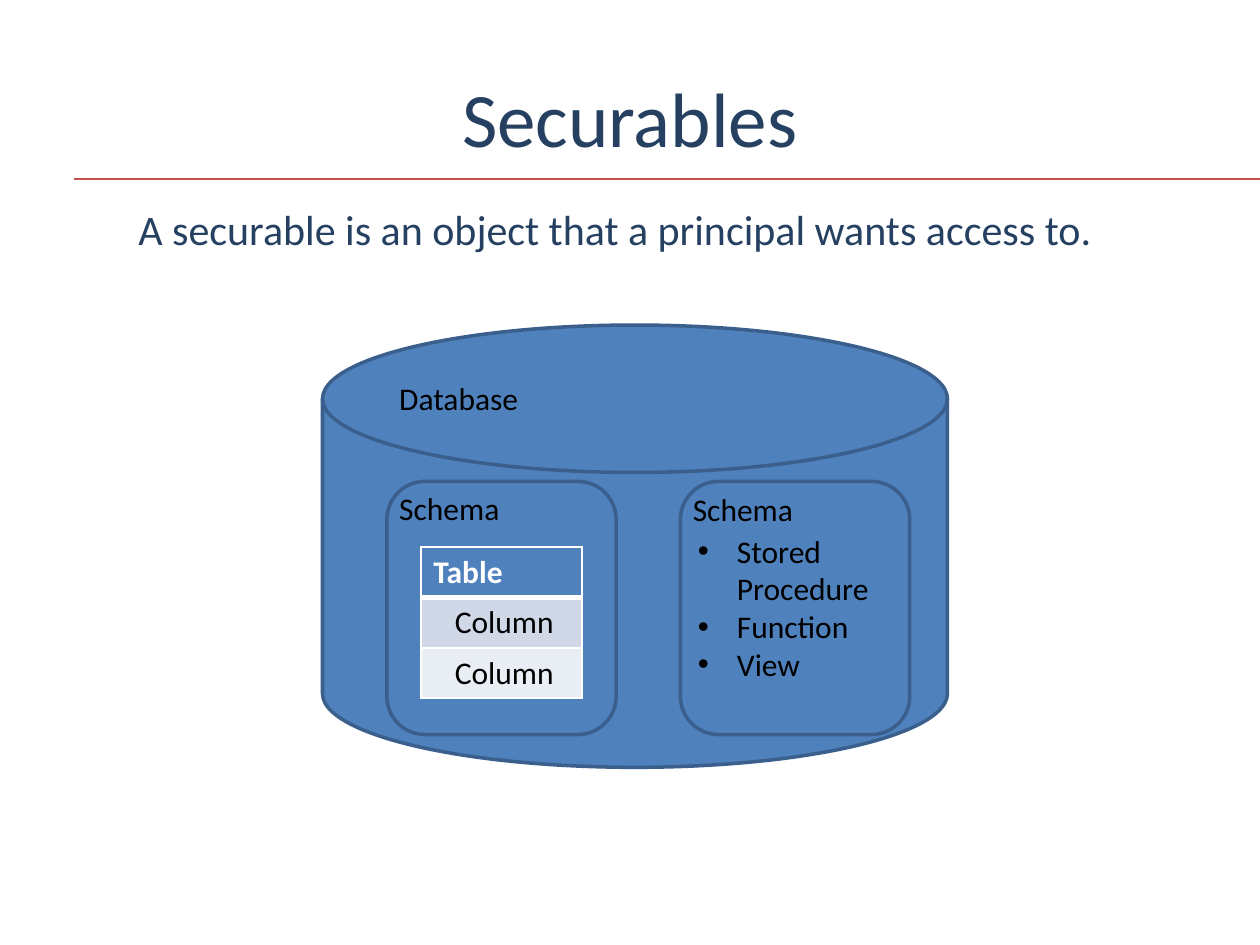
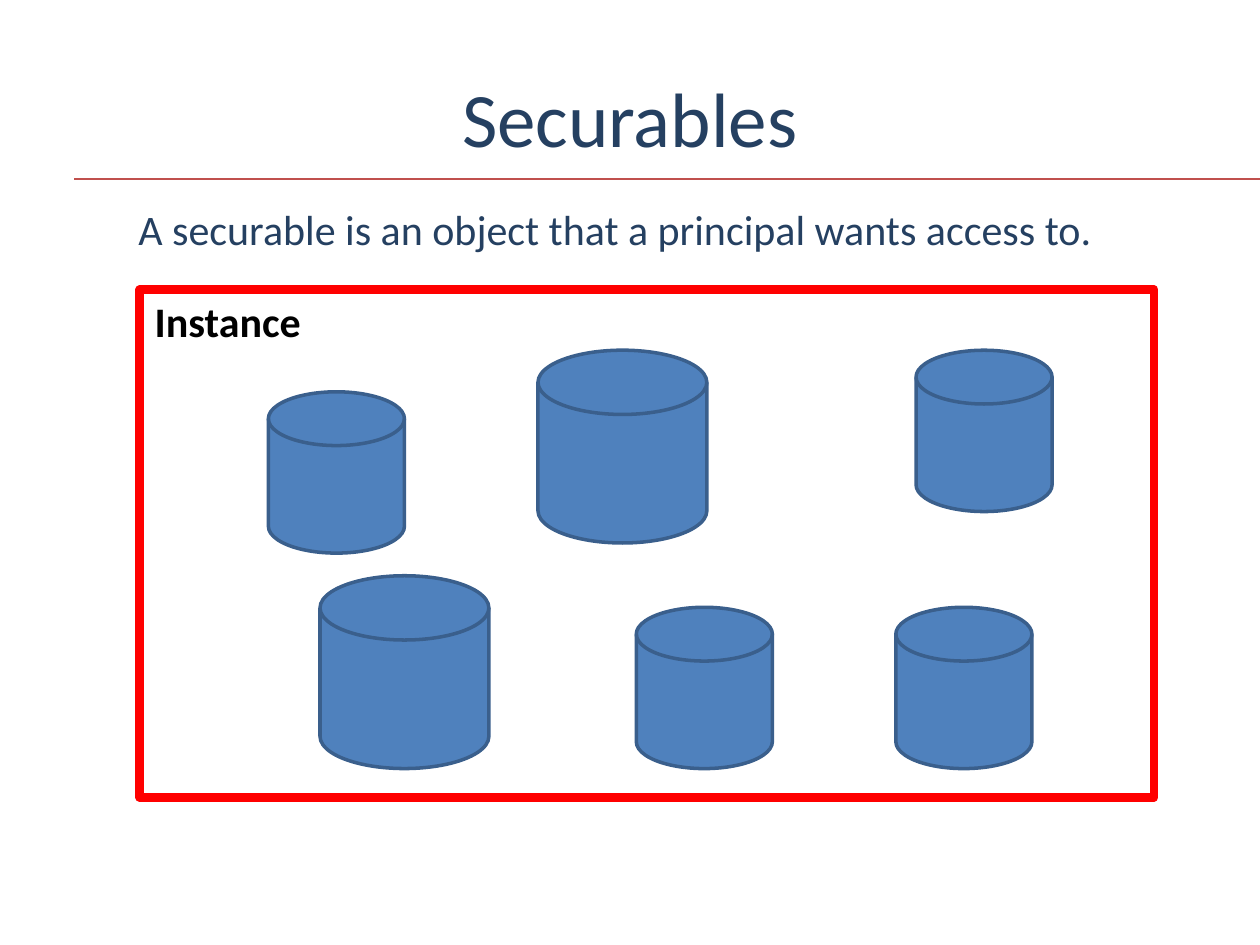
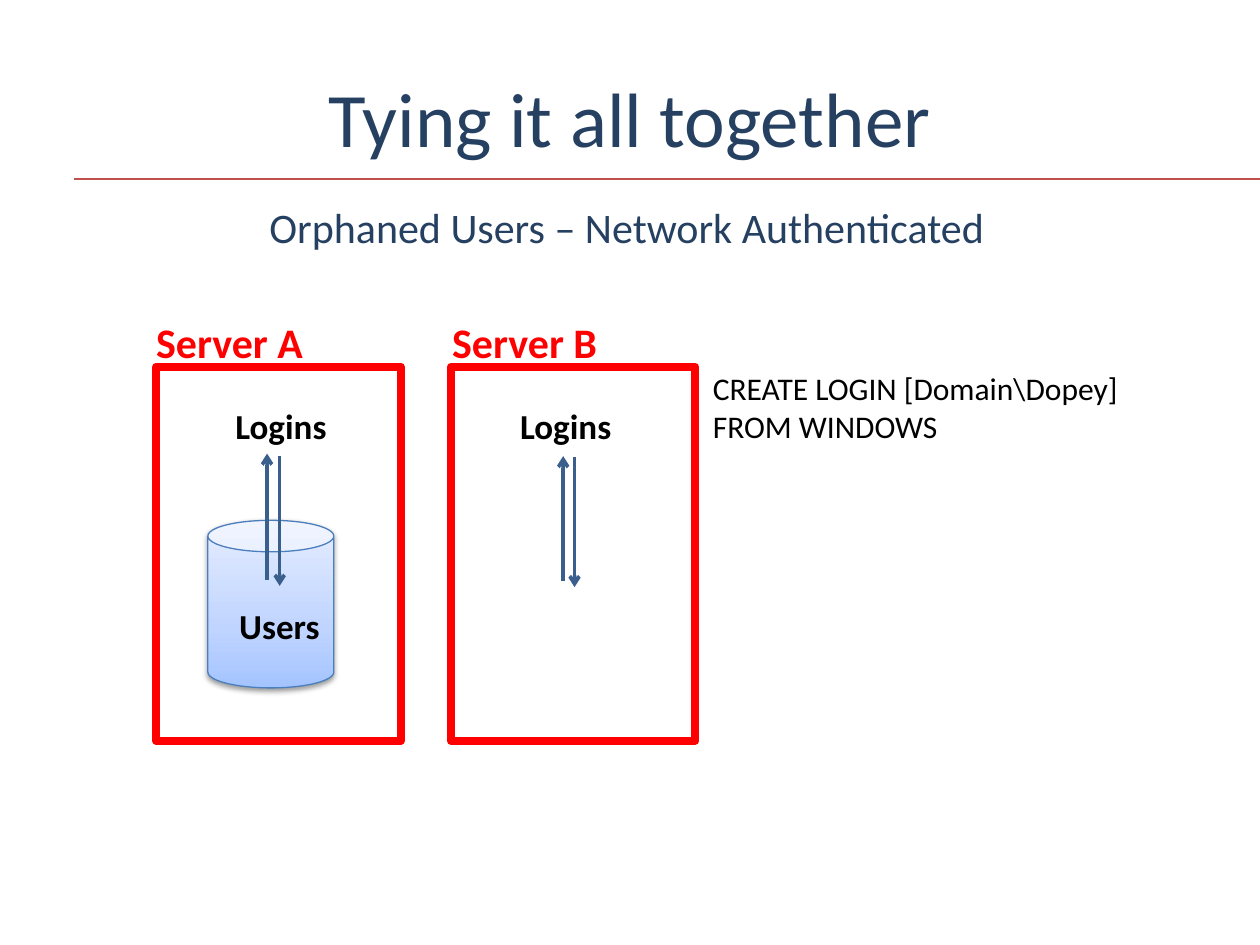
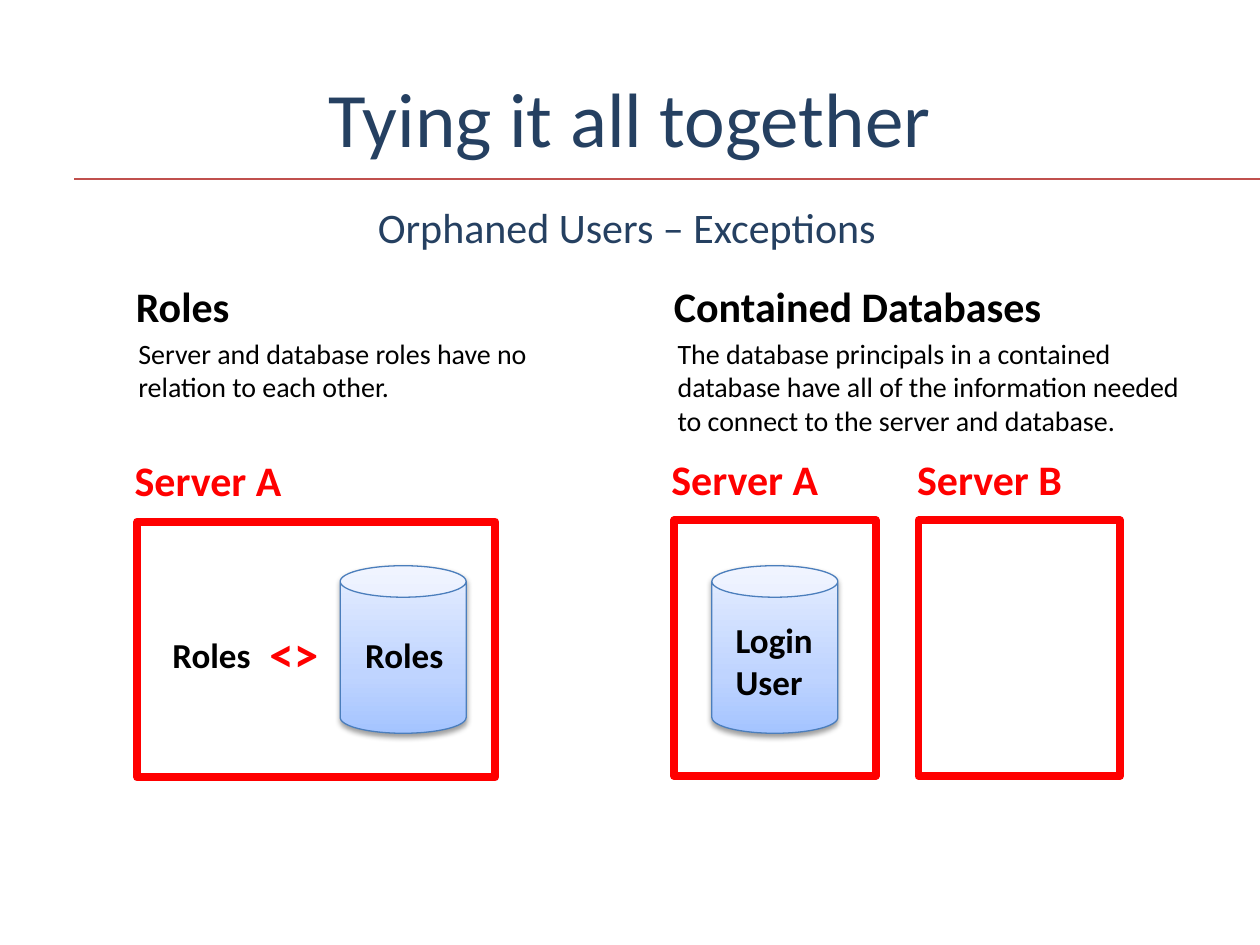
from lxml import etree
from pptx import Presentation
from pptx.dml.color import RGBColor
from pptx.enum import shapes, text
from pptx.oxml import parse_xml
from pptx.oxml.ns import nsdecls, qn
from pptx.util import Inches, Pt

FONT = "Calibri"
COLORS = {
    "navy": "254061", "rule": "C0504D", "blue": "4F81BD", "edge": "3A5F8C",
    "red": "FF0000", "black": "000000", "white": "FFFFFF", "can edge": "4B7EBC",
    "band": "D0D8E8", "light band": "E9EDF4",
}
CAN_STOPS = [(0, "A4C4FF"), (35, "BFD4FF"), (100, "E6EEFF")]
KINDS = shapes.MSO_SHAPE
STYLES = {
    "disk": (KINDS.FLOWCHART_MAGNETIC_DISK, "blue", "edge", 2),
    "schema": (KINDS.FLOWCHART_ALTERNATE_PROCESS, "blue", "edge", 2),
    "instance": (KINDS.RECTANGLE, None, "red", 5),
    "server": (KINDS.RECTANGLE, None, "red", 4.5),
    "can": (KINDS.CAN, "gradient", "can edge", 0.75),
}

HEADING = dict(size=24, bold=True)
SERVER = dict(HEADING, color="red")
LABEL = dict(size=20, bold=True)
SMALL = dict(size=16, wrap=True)
DEFINITION = ("A securable is an object that a principal wants access to.",
              (1, 1.57, 8, 0.57), dict(size=24, color="navy", wrap=True))
SUBTITLE_AT = (0.45, 1.55, 9.05, 0.5)
SUBTITLE = dict(size=24, color="navy", wrap=True, align=text.PP_ALIGN.CENTER)

SCHEMA_LEFTS = (3.07, 5.4)
SMALL_DISKS = [(2.13, 3.11), (7.27, 2.78), (5.05, 4.82), (7.11, 4.82)]
LARGE_DISKS = [(2.54, 4.57), (4.27, 2.78)]
SERVER_LEFTS = (1.24, 3.58)
CONTAINED_LEFTS = (5.35, 7.29)

SLIDES = [
    {
        "title": "Securables",
        "shapes": [("disk", (2.56, 2.58, 4.96, 3.51))]
        + [("schema", (left, 3.82, 1.82, 2.01)) for left in SCHEMA_LEFTS],
        "texts": [
            DEFINITION,
            ("Database", (3.07, 2.96, 1.16, 0.4), {}),
            ("Schema", (3.07, 3.83, 1.01, 0.4), {}),
            ("Schema", (5.4, 3.84, 1.01, 0.4), {}),
            ("Stored Procedure\nFunction\nView", (5.44, 4.17, 1.78, 1.31),
             dict(wrap=True, bullets=True)),
        ],
        "table": ["Table", "Column", "Column"],
    },
    {
        "title": "Securables",
        "shapes": [("disk", (*corner, 1.08, 1.28)) for corner in SMALL_DISKS]
        + [("disk", (*corner, 1.34, 1.53)) for corner in LARGE_DISKS]
        + [("instance", (1.11, 2.3, 8.05, 4.03))],
        "texts": [DEFINITION, ("Instance", (1.13, 2.3, 1.37, 0.5), HEADING)],
    },
    {
        "title": "Tying it all together",
        "shapes": [("server", (left, 2.91, 1.94, 2.97)) for left in SERVER_LEFTS]
        + [("can", (1.65, 4.13, 1, 1.33))],
        "arrows": [(2.22, 3.62, 4.65), (2.12, 4.6, 3.6),
                   (4.47, 4.61, 3.62), (4.56, 3.63, 4.66)],
        "texts": [
            ("Orphaned Users – Network Authenticated", SUBTITLE_AT, SUBTITLE),
            ("Logins", (1.77, 3.16, 0.94, 0.44), LABEL),
            ("Logins", (4.03, 3.16, 0.94, 0.44), LABEL),
            ("Users", (1.8, 4.75, 0.85, 0.44), LABEL),
            ("CREATE LOGIN [Domain\\Dopey] FROM WINDOWS", (5.56, 2.88, 3.56, 0.71),
             dict(wrap=True)),
            ("Server A", (1.14, 2.46, 1.38, 0.5), SERVER),
            ("Server B", (3.49, 2.46, 1.38, 0.5), SERVER),
        ],
    },
    {
        "title": "Tying it all together",
        "shapes": [("server", (1.09, 4.14, 2.84, 2.03))]
        + [("server", (left, 4.13, 1.6, 2.03)) for left in CONTAINED_LEFTS]
        + [("can", (left, 4.49, 1, 1.33)) for left in (2.7, 5.65)],
        "texts": [
            ("Orphaned Users – Exceptions", SUBTITLE_AT, SUBTITLE),
            ("Roles", (0.98, 2.18, 0.95, 0.5), HEADING),
            ("Server and database roles have no relation to each other.",
             (1, 2.62, 3.72, 0.64), SMALL),
            ("Server A", (0.97, 3.56, 1.38, 0.5), SERVER),
            ("Roles", (1.27, 4.98, 0.83, 0.44), LABEL),
            ("<>", (2.04, 4.9, 0.59, 0.57), dict(size=28, bold=True, color="red")),
            ("Roles", (2.8, 4.98, 0.83, 0.44), LABEL),
            ("Contained Databases", (5.25, 2.18, 3.15, 0.5), HEADING),
            ("The database principals in a contained database have all of the "
             "information needed to connect to the server and database.",
             (5.28, 2.62, 4.34, 0.91), SMALL),
            ("Server A", (5.23, 3.55, 1.38, 0.5), SERVER),
            ("Server B", (7.18, 3.55, 1.38, 0.5), SERVER),
            ("Login\nUser", (5.74, 4.86, 0.82, 0.77), LABEL),
        ],
    },
]


def rgb(name):
    return RGBColor.from_string(COLORS[name])


def inches(values):
    return [Inches(value) for value in values]


def write(frame, words, size=18, color="black", bold=False, align=None, bullets=False):
    for index, line in enumerate(words.split("\n")):
        paragraph = frame.add_paragraph() if index else frame.paragraphs[0]
        if bullets:
            properties = paragraph._p.get_or_add_pPr()
            properties.set("marL", str(Inches(0.31)))
            properties.set("indent", str(-Inches(0.31)))
            etree.SubElement(properties, qn("a:buFont")).set("typeface", "Arial")
            etree.SubElement(properties, qn("a:buChar")).set("char", "•")
        if align is not None:
            paragraph.alignment = align
        run = paragraph.add_run()
        run.text = line
        run.font.name, run.font.size, run.font.bold = FONT, Pt(size), bold
        run.font.color.rgb = rgb(color)


def add_text(slide, words, at, wrap=False, **style):
    frame = slide.shapes.add_textbox(*inches(at)).text_frame
    frame.word_wrap = wrap
    frame.auto_size = text.MSO_AUTO_SIZE.SHAPE_TO_FIT_TEXT
    write(frame, words, **style)


def add_title(slide, words):
    title = slide.shapes.title
    title.left, title.top, title.width, title.height = inches((0.5, 0.3, 9, 1.25))
    title.text_frame.vertical_anchor = text.MSO_ANCHOR.MIDDLE
    write(title.text_frame, words, size=44, color="navy", align=text.PP_ALIGN.CENTER)


def add_line(slide, start, end, color, width, arrow=False):
    line = slide.shapes.add_connector(shapes.MSO_CONNECTOR.STRAIGHT, *inches(start + end))
    line.line.color.rgb, line.line.width = rgb(color), Pt(width)
    if arrow:
        etree.SubElement(line.line._get_or_add_ln(), qn("a:tailEnd")).set("type", "arrow")
    etree.SubElement(line._element.spPr, qn("a:effectLst"))


def shade_can(shape):
    properties = shape._element.spPr
    stops = "".join(f'<a:gs pos="{position * 1000}"><a:srgbClr val="{color}"/></a:gs>'
                    for position, color in CAN_STOPS)
    gradient = parse_xml(f'<a:gradFill {nsdecls("a")}><a:gsLst>{stops}</a:gsLst>'
                         '<a:lin ang="16200000" scaled="1"/></a:gradFill>')
    properties.replace(properties.find(qn("a:noFill")), gradient)
    shadow = parse_xml(f'<a:outerShdw {nsdecls("a")} blurRad="{Pt(3.1)}" dist="{Pt(1.6)}" '
                       'dir="5400000" rotWithShape="0"><a:srgbClr val="000000">'
                       '<a:alpha val="38000"/></a:srgbClr></a:outerShdw>')
    properties.find(qn("a:effectLst")).append(shadow)


def add_figure(slide, style, at):
    kind, fill, edge, width = STYLES[style]
    shape = slide.shapes.add_shape(kind, *inches(at))
    shape.shadow.inherit = False
    shape.line.color.rgb, shape.line.width = rgb(edge), Pt(width)
    if fill in COLORS:
        shape.fill.solid()
        shape.fill.fore_color.rgb = rgb(fill)
    else:
        shape.fill.background()
    if fill == "gradient":
        shade_can(shape)


def add_borders(cell, **widths):
    properties = cell._tc.get_or_add_tcPr()
    for index, side in enumerate(("lnL", "lnR", "lnT", "lnB")):
        properties.insert(index, parse_xml(
            f'<a:{side} {nsdecls("a")} w="{Pt(widths.get(side, 1))}"><a:solidFill>'
            f'<a:srgbClr val="{COLORS["white"]}"/></a:solidFill></a:{side}>'))


def add_column_table(slide, rows):
    at = inches((3.34, 4.34, 1.28, 0.4 * len(rows)))
    table = slide.shapes.add_table(len(rows), 1, *at).table
    for index, words in enumerate(rows):
        cell = table.cell(index, 0)
        header = index == 0
        cell.fill.solid()
        cell.fill.fore_color.rgb = rgb(("blue", "band", "light band")[index])
        cell.margin_left = Inches(0.1 if header else 0.27)
        write(cell.text_frame, words, bold=header, color="white" if header else "black")
        add_borders(cell, **({"lnB": 3} if header else {"lnT": 3} if index == 1 else {}))


def main():
    presentation = Presentation()
    presentation.slide_width, presentation.slide_height = Inches(10), Inches(7.5)
    for content in SLIDES:
        slide = presentation.slides.add_slide(presentation.slide_layouts[5])
        add_line(slide, (0.59, 1.42), (10.09, 1.42), "rule", 1)
        add_title(slide, content["title"])
        for style, at in content["shapes"]:
            add_figure(slide, style, at)
        for x, start, end in content.get("arrows", []):
            add_line(slide, (x, start), (x, end), "edge", 2, arrow=True)
        for words, at, style in content["texts"]:
            add_text(slide, words, at, **style)
        if "table" in content:
            add_column_table(slide, content["table"])
    presentation.save("out.pptx")


if __name__ == "__main__":
    main()
